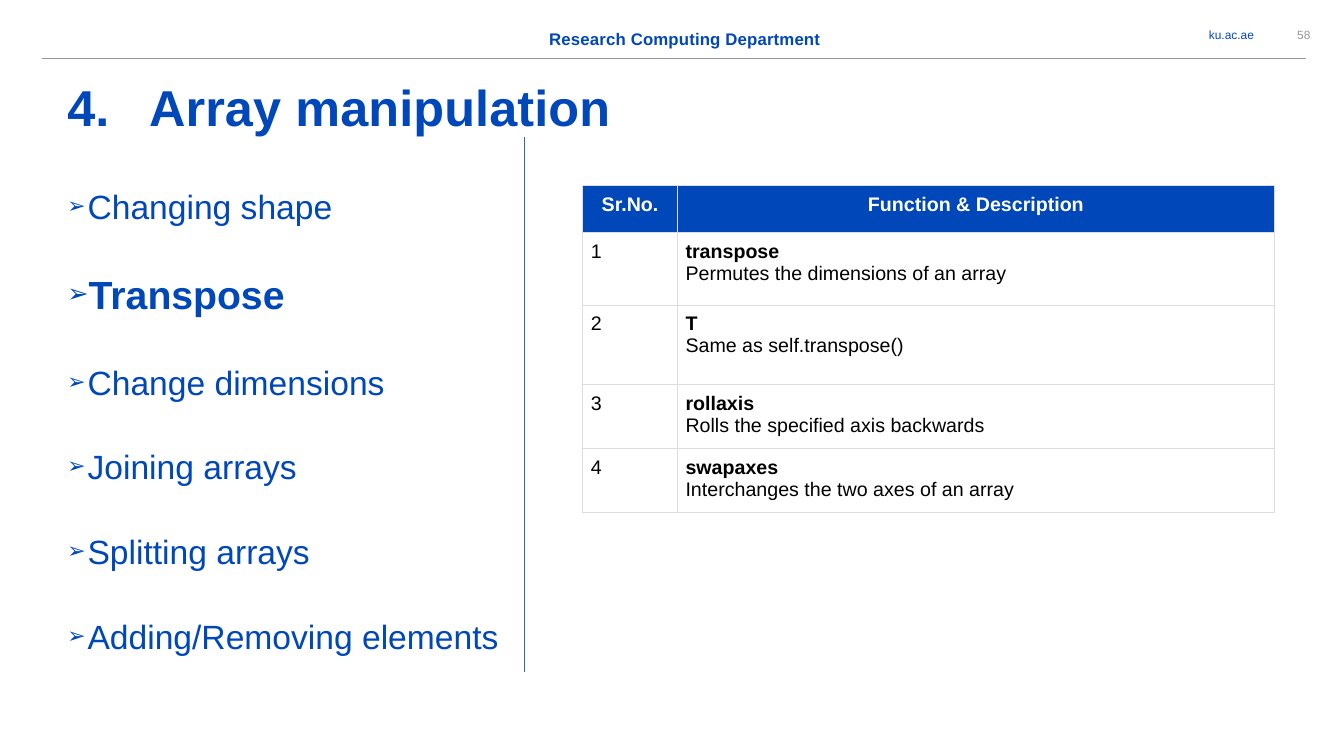
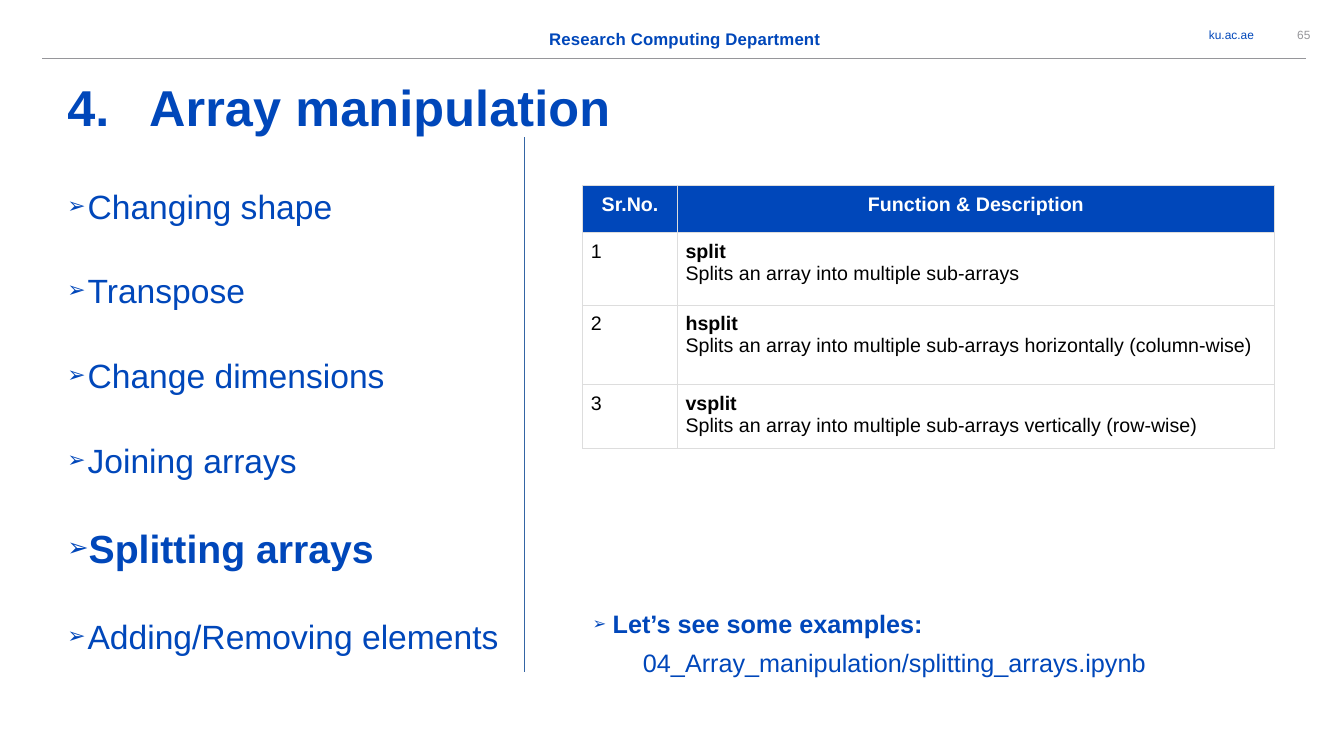
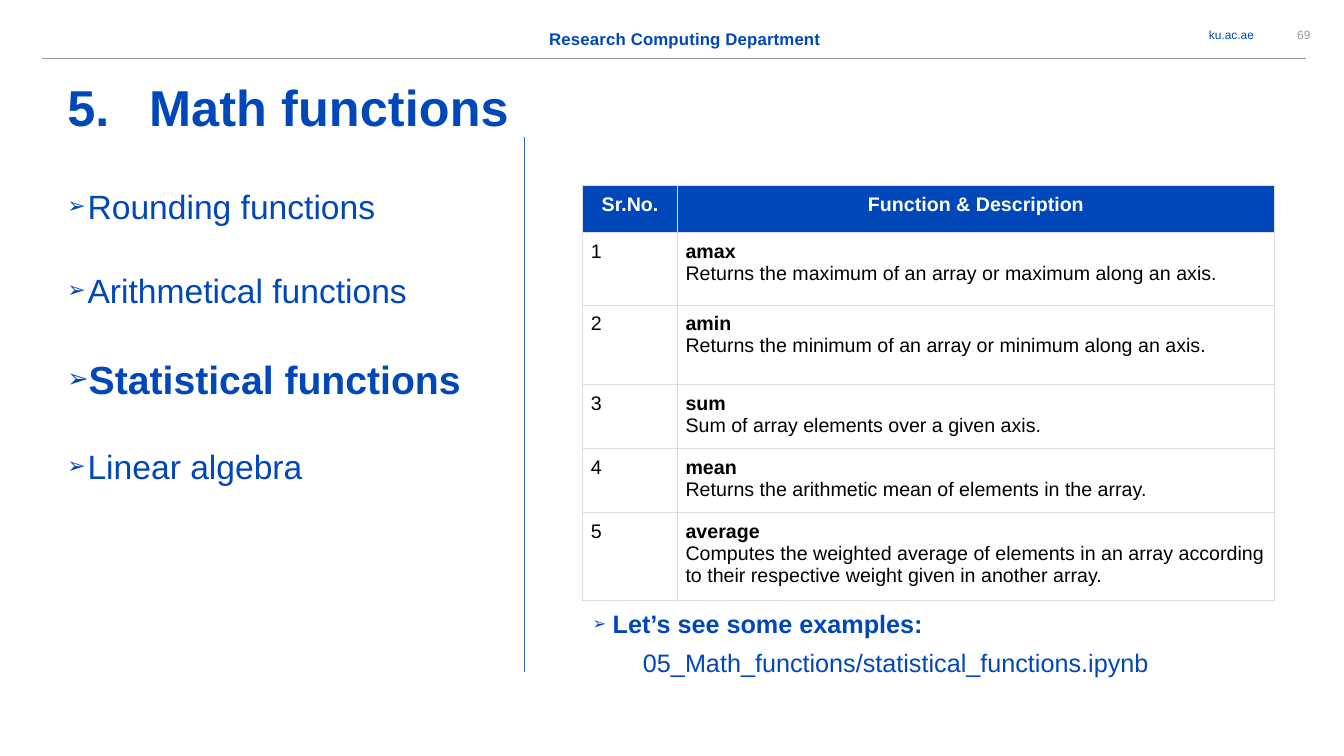
from lxml import etree
from pptx import Presentation
from pptx.dml.color import RGBColor
from pptx.enum.shapes import MSO_CONNECTOR
from pptx.enum.text import MSO_ANCHOR, PP_ALIGN
from pptx.oxml.ns import qn
from pptx.util import Pt

CENTER, LEFT, RIGHT = PP_ALIGN.CENTER, PP_ALIGN.LEFT, PP_ALIGN.RIGHT
TOP, MIDDLE = MSO_ANCHOR.TOP, MSO_ANCHOR.MIDDLE
STRAIGHT = MSO_CONNECTOR.STRAIGHT

FONT = "Arial"
BLUE, GRAY, RULE_BLUE = "0047BA", "96969A", "3465A4"
WHITE, BLACK, BORDER = "FFFFFF", "000000", "DDDDDD"
EMU_PER_POINT = 12700

# Regions as left, top, width, height in points
SITE_BOX = (820.1, 15.8, 75.6, 18.7)
NUMBER_BOX = (910.8, 15.8, 41, 18.7)
DEPARTMENT_BOX = (374.4, 20.9, 229.7, 14.4)
TITLE_BOX = (48.2, 54.7, 863.3, 43.9)
TOPICS_BOX = (48.2, 132.5, 326.2, 357.1)
TABLE_BOX = (416.2, 132.5, 494.3, 0)
EXAMPLE_BOX = (416.2, 431.3, 415.4, 56.9)

NUMBER_COLUMN = 67.7
CELL_MARGIN = 5.8
ROW_HEIGHTS = (33.8, 51.6, 57.1, 45.7, 45.7, 62.2)


def color(code):
    return RGBColor.from_string(code)


def add_frame(page, region, anchor=TOP, inset=(0, 0)):
    box = page.shapes.add_textbox(*map(Pt, region))
    frame = box.text_frame
    frame.word_wrap = True
    frame.vertical_anchor = anchor
    frame.margin_left = frame.margin_right = Pt(inset[0])
    frame.margin_top = frame.margin_bottom = Pt(inset[1])
    return frame


def next_para(frame):
    """Return the unused first paragraph, or a new one."""
    first = frame.paragraphs[0]
    return frame.add_paragraph() if first.runs else first


def add_span(para, text, size, code, bold=False, spacing=0):
    span = para.add_run()
    span.text = text
    span.font.name, span.font.size, span.font.bold = FONT, Pt(size), bold
    span.font.color.rgb = color(code)
    if spacing:
        span.font._element.set("spc", str(round(spacing * 100)))


def indent(para, left, first=0):
    properties = para._p.get_or_add_pPr()
    properties.set("marL", str(round(left * EMU_PER_POINT)))
    properties.set("indent", str(round(first * EMU_PER_POINT)))
    return properties


def add_arrow_bullet(para):
    properties = indent(para, 14.4, -14.4)
    bullet_color = etree.SubElement(properties, qn("a:buClr"))
    etree.SubElement(bullet_color, qn("a:srgbClr"), val=BLUE)
    etree.SubElement(properties, qn("a:buSzPct"), val="65000")
    etree.SubElement(properties, qn("a:buFont"), typeface=FONT)
    etree.SubElement(properties, qn("a:buChar"), char="➢")


def add_line(page, start, end, code):
    line = page.shapes.add_connector(STRAIGHT, *map(Pt, start + end))
    line.line.color.rgb = color(code)
    line.line.width = Pt(0.75)
    etree.SubElement(line._element.spPr, qn("a:effectLst"))


def add_label(page, region, text, size, code, align, anchor=TOP, bold=False, spacing=0):
    para = add_frame(page, region, anchor).paragraphs[0]
    para.alignment = align
    add_span(para, text, size, code, bold, spacing)


# Header band, title and divider
def add_header(page, number):
    add_label(page, SITE_BOX, "ku.ac.ae", 8.5, BLUE, RIGHT, MIDDLE)
    add_line(page, (30.2, 41.8), (933.1, 41.8), GRAY)
    add_label(page, DEPARTMENT_BOX, "Research Computing Department", 12, BLUE, CENTER,
              bold=True, spacing=0.1)
    add_label(page, NUMBER_BOX, str(number), 8.5, GRAY, CENTER, MIDDLE)


def add_title(page, region, chapter, text):
    para = add_frame(page, region).paragraphs[0]
    properties = indent(para, 58.3, -58.3)
    etree.SubElement(properties, qn("a:buFont"), typeface=FONT)
    etree.SubElement(properties, qn("a:buAutoNum"), type="arabicPeriod", startAt=str(chapter))
    add_span(para, text, 36, BLUE, True, 0.1)


# Topic list with the current topic emphasised
def add_topics(page, region, topics, current):
    frame = add_frame(page, region)
    for index, topic in enumerate(topics):
        para = next_para(frame)
        add_arrow_bullet(para)
        if index:
            para.space_before = Pt(31.7)
        active = topic == current
        add_span(para, topic, 28 if active else 24, BLUE, active)


# Function table
def style_cell(cell, fill=None):
    cell.margin_left = cell.margin_right = Pt(CELL_MARGIN)
    cell.margin_top = cell.margin_bottom = Pt(CELL_MARGIN)
    if fill:
        cell.fill.solid()
        cell.fill.fore_color.rgb = color(fill)
    else:
        cell.fill.background()
    properties = cell._tc.get_or_add_tcPr()
    for position, side in enumerate(("a:lnL", "a:lnR", "a:lnT", "a:lnB")):
        border = etree.Element(qn(side), w=str(round(0.75 * EMU_PER_POINT)))
        paint = etree.SubElement(border, qn("a:solidFill"))
        etree.SubElement(paint, qn("a:srgbClr"), val=BORDER)
        properties.insert(position, border)


def fill_cell(cell, lines, code=BLACK, align=LEFT, fill=None):
    style_cell(cell, fill)
    for text, bold in lines:
        para = next_para(cell.text_frame)
        para.alignment = align
        add_span(para, text, 14, code, bold)


def add_function_table(page, region, functions):
    left, top, width, _ = region
    heights = ROW_HEIGHTS[:len(functions) + 1]
    frame = page.shapes.add_table(len(heights), 2, Pt(left), Pt(top), Pt(width),
                                  Pt(sum(heights)))
    table = frame.table
    table.first_row = table.horz_banding = False
    table.columns[0].width = Pt(NUMBER_COLUMN)
    table.columns[1].width = Pt(width - NUMBER_COLUMN)
    for row, height in zip(table.rows, heights):
        row.height = Pt(height)
    for column, heading in enumerate(("Sr.No.", "Function & Description")):
        fill_cell(table.cell(0, column), [(heading, True)], WHITE, CENTER, BLUE)
    for number, (name, description) in enumerate(functions, 1):
        fill_cell(table.cell(number, 0), [(str(number), False)])
        fill_cell(table.cell(number, 1), [(name, True), (description, False)])


# Pointer to the example notebook
def add_example(page, region, notebook):
    frame = add_frame(page, region, inset=(7.2, 3.6))
    lead = next_para(frame)
    add_arrow_bullet(lead)
    add_span(lead, "Let’s see some examples:", 18, BLUE, True)
    detail = next_para(frame)
    indent(detail, 36)
    detail.space_before = Pt(6)
    add_span(detail, notebook, 18, BLUE)


def add_function_page(deck, number, chapter, title, topics, current, functions, notebook=None):
    page = deck.slides.add_slide(deck.slide_layouts[6])
    add_header(page, number)
    add_title(page, TITLE_BOX, chapter, title)
    add_topics(page, TOPICS_BOX, topics, current)
    add_line(page, (374.4, 97.9), (374.4, 480.2), RULE_BLUE)
    add_function_table(page, TABLE_BOX, functions)
    if notebook:
        add_example(page, EXAMPLE_BOX, notebook)


ARRAY_TOPICS = ("Changing shape", "Transpose", "Change dimensions", "Joining arrays",
                "Splitting arrays", "Adding/Removing elements")
MATH_TOPICS = ("Rounding functions", "Arithmetical functions", "Statistical functions",
               "Linear algebra")

TRANSPOSE_FUNCTIONS = (
    ("transpose", "Permutes the dimensions of an array"),
    ("T", "Same as self.transpose()"),
    ("rollaxis", "Rolls the specified axis backwards"),
    ("swapaxes", "Interchanges the two axes of an array"),
)
SPLIT_FUNCTIONS = (
    ("split", "Splits an array into multiple sub-arrays"),
    ("hsplit", "Splits an array into multiple sub-arrays horizontally (column-wise)"),
    ("vsplit", "Splits an array into multiple sub-arrays vertically (row-wise)"),
)
STATISTICAL_FUNCTIONS = (
    ("amax", "Returns the maximum of an array or maximum along an axis."),
    ("amin", "Returns the minimum of an array or minimum along an axis."),
    ("sum", "Sum of array elements over a given axis."),
    ("mean", "Returns the arithmetic mean of elements in the array."),
    ("average", "Computes the weighted average of elements in an array according to "
                "their respective weight given in another array."),
)


def main():
    deck = Presentation()
    deck.slide_width, deck.slide_height = Pt(960), Pt(540)
    add_function_page(deck, 58, 4, "Array manipulation", ARRAY_TOPICS, "Transpose",
                      TRANSPOSE_FUNCTIONS)
    add_function_page(deck, 65, 4, "Array manipulation", ARRAY_TOPICS, "Splitting arrays",
                      SPLIT_FUNCTIONS, "04_Array_manipulation/splitting_arrays.ipynb")
    add_function_page(deck, 69, 5, "Math functions", MATH_TOPICS, "Statistical functions",
                      STATISTICAL_FUNCTIONS, "05_Math_functions/statistical_functions.ipynb")
    deck.save("out.pptx")


if __name__ == "__main__":
    main()
